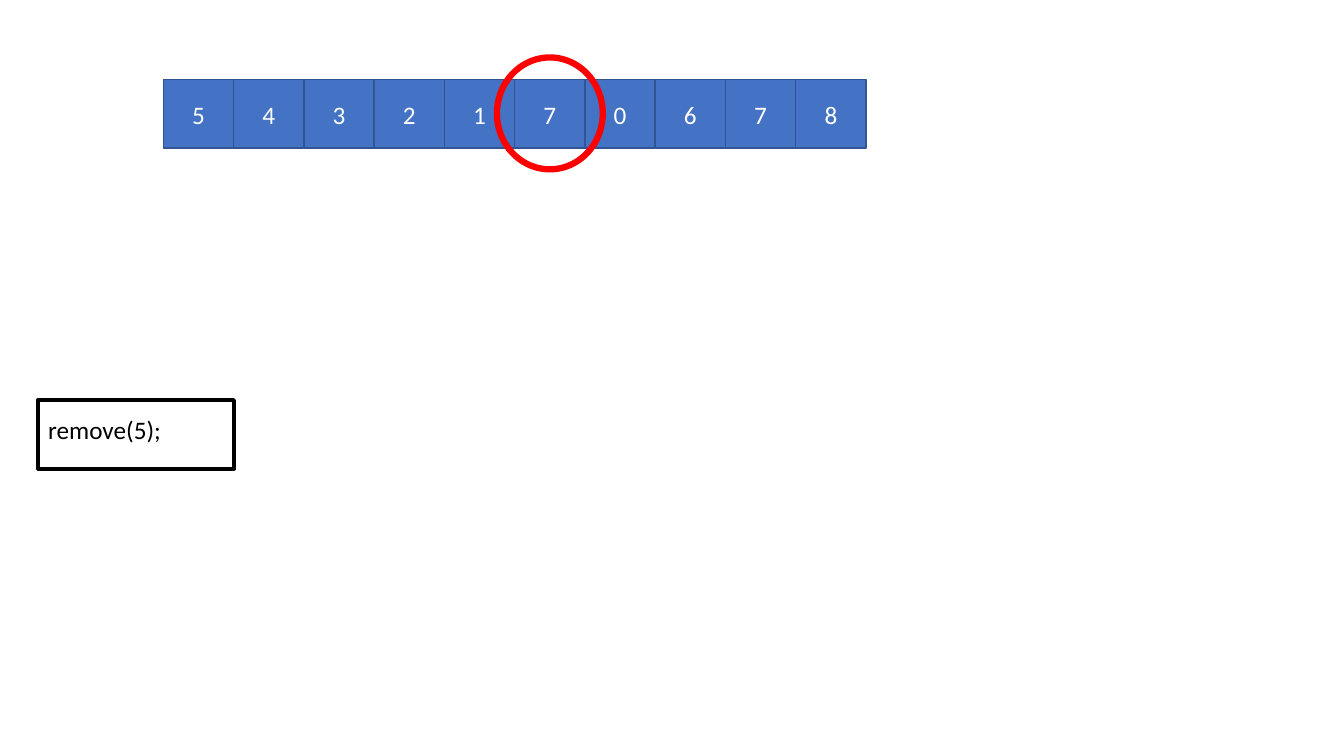
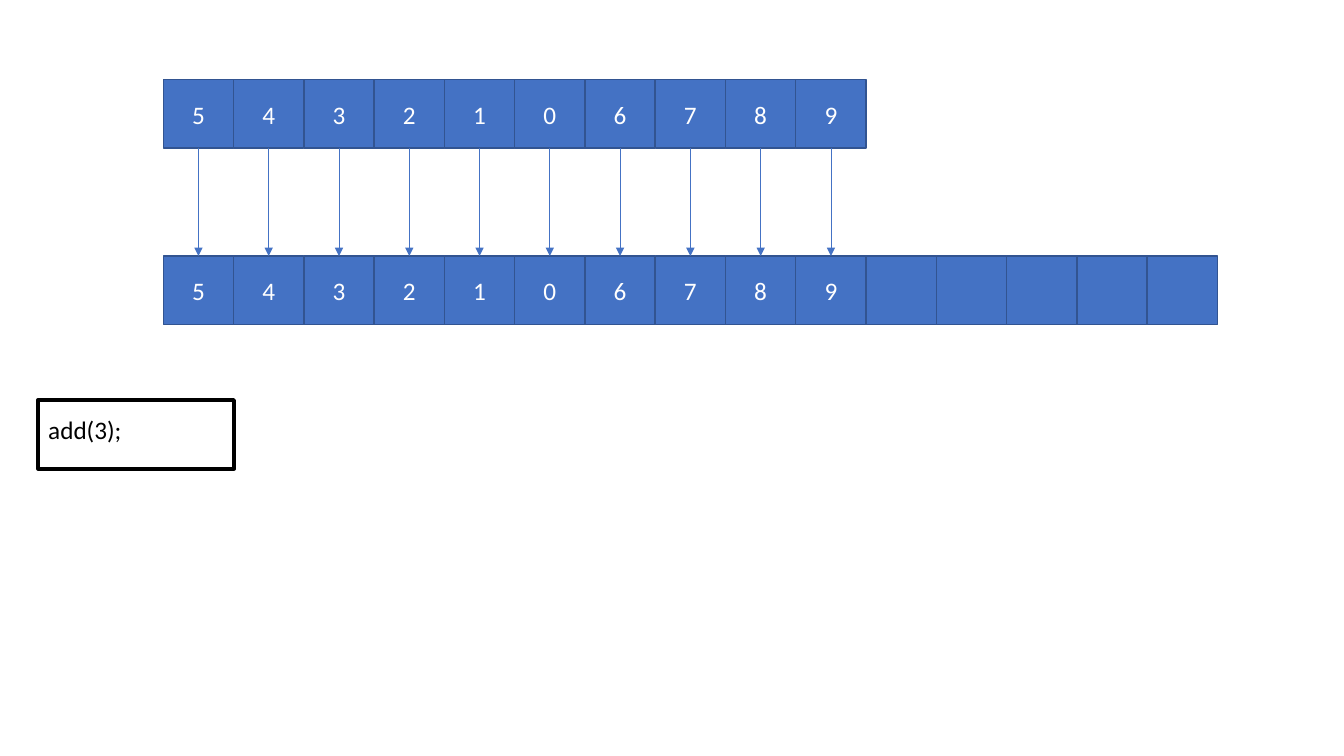
from dataclasses import dataclass

from lxml import etree
from pptx import Presentation
from pptx.dml.color import RGBColor
from pptx.enum import shapes, text
from pptx.oxml import ns
from pptx.util import Inches, Pt


@dataclass(frozen=True)
class Theme:
    """Colours, font and sizes shared by the slides."""
    cell: RGBColor = RGBColor.from_string("4472C4")
    cell_edge: RGBColor = RGBColor.from_string("325491")
    cell_text: RGBColor = RGBColor.from_string("FFFFFF")
    ink: RGBColor = RGBColor.from_string("000000")
    mark: RGBColor = RGBColor.from_string("FF0000")
    font: str = "Calibri"
    text_size: Pt = Pt(18)
    cell_line: Pt = Pt(1)
    arrow_line: Pt = Pt(0.5)
    frame_line: Pt = Pt(3)
    mark_line: Pt = Pt(4.5)


theme = Theme()
ROW_LEFT, ROW_TOP, COPY_TOP = 1.62, 0.79, 2.54
CELL_WIDTH, CELL_HEIGHT = 6.97 / 10, 0.68  # ten cells span 6.97 inches


def add_outline(page, kind, bounds, colour, width, fill=None):
    """Add a shape with an outline and, if given, a solid fill."""
    shape = page.shapes.add_shape(kind, *map(Inches, bounds))
    shape.shadow.inherit = False
    shape.line.color.rgb = colour
    shape.line.width = width
    if fill is None:
        shape.fill.background()
    else:
        shape.fill.solid()
        shape.fill.fore_color.rgb = fill
    return shape


def write(box, words, colour):
    """Put one styled paragraph in a box and return it."""
    box.text_frame.text = words
    para = box.text_frame.paragraphs[0]
    for span in para.runs:
        span.font.name = theme.font
        span.font.size = theme.text_size
        span.font.color.rgb = colour
    return para


deck = Presentation()
deck.slide_width, deck.slide_height = Inches(13.33), Inches(7.5)

# Each slide: the call, its rows (top, values, spare cells), marked index, arrows.
slides = [
    ("remove(5);", [(ROW_TOP, "5432170678", 0)], 5, 0),
    ("add(3);", [(ROW_TOP, "5432106789", 0), (COPY_TOP, "5432106789", 5)], None, 10),
]

for call, rows, marked, arrow_count in slides:
    page = deck.slides.add_slide(deck.slide_layouts[6])

    for top, values, spare in rows:
        for index, value in enumerate([*values, *[""] * spare]):
            bounds = (ROW_LEFT + index * CELL_WIDTH, top, CELL_WIDTH, CELL_HEIGHT)
            cell = add_outline(page, shapes.MSO_SHAPE.RECTANGLE, bounds,
                               theme.cell_edge, theme.cell_line, theme.cell)
            if value:
                cell.text_frame.vertical_anchor = text.MSO_ANCHOR.MIDDLE
                para = write(cell, value, theme.cell_text)
                para.alignment = text.PP_ALIGN.CENTER

    for index in range(arrow_count):
        centre = Inches(ROW_LEFT + (index + 0.5) * CELL_WIDTH)
        arrow = page.shapes.add_connector(
            shapes.MSO_CONNECTOR.STRAIGHT, centre, Inches(ROW_TOP + CELL_HEIGHT),
            centre, Inches(COPY_TOP))
        arrow.line.color.rgb = theme.cell
        arrow.line.width = theme.arrow_line
        outline = arrow.line._get_or_add_ln()
        etree.SubElement(outline, ns.qn("a:tailEnd"), type="triangle")
        etree.SubElement(arrow._element.spPr, ns.qn("a:effectLst"))

    caption = page.shapes.add_textbox(*map(Inches, (0.38, 4.06, 2.49, 0.4)))
    caption.text_frame.word_wrap = True
    caption.text_frame.auto_size = text.MSO_AUTO_SIZE.SHAPE_TO_FIT_TEXT
    write(caption, call, theme.ink)

    if marked is not None:
        ring_width = 1.05
        ring_left = ROW_LEFT + (marked + 0.5) * CELL_WIDTH - ring_width / 2
        add_outline(page, shapes.MSO_SHAPE.OVAL, (ring_left, 0.57, ring_width, 1.11),
                    theme.mark, theme.mark_line)

    add_outline(page, shapes.MSO_SHAPE.RECTANGLE, (0.38, 3.97, 1.94, 0.68),
                theme.ink, theme.frame_line)

deck.save("out.pptx")
